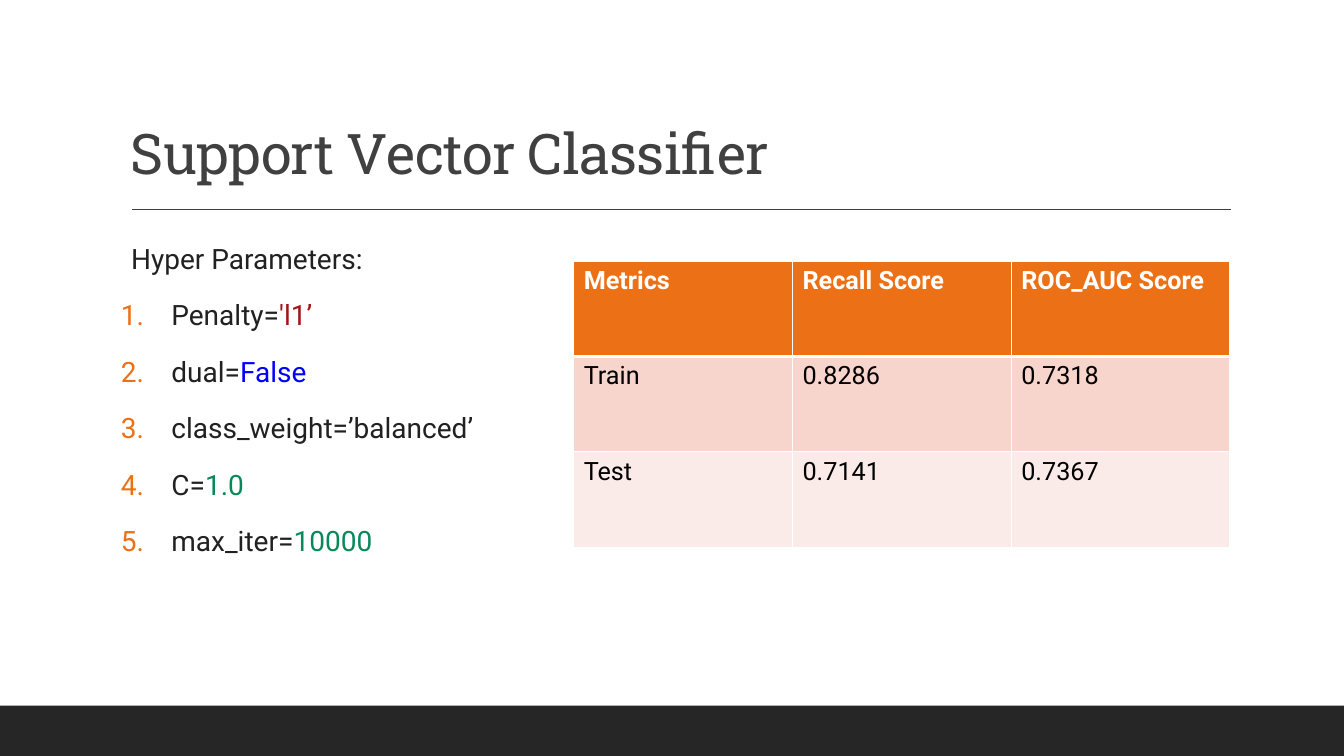
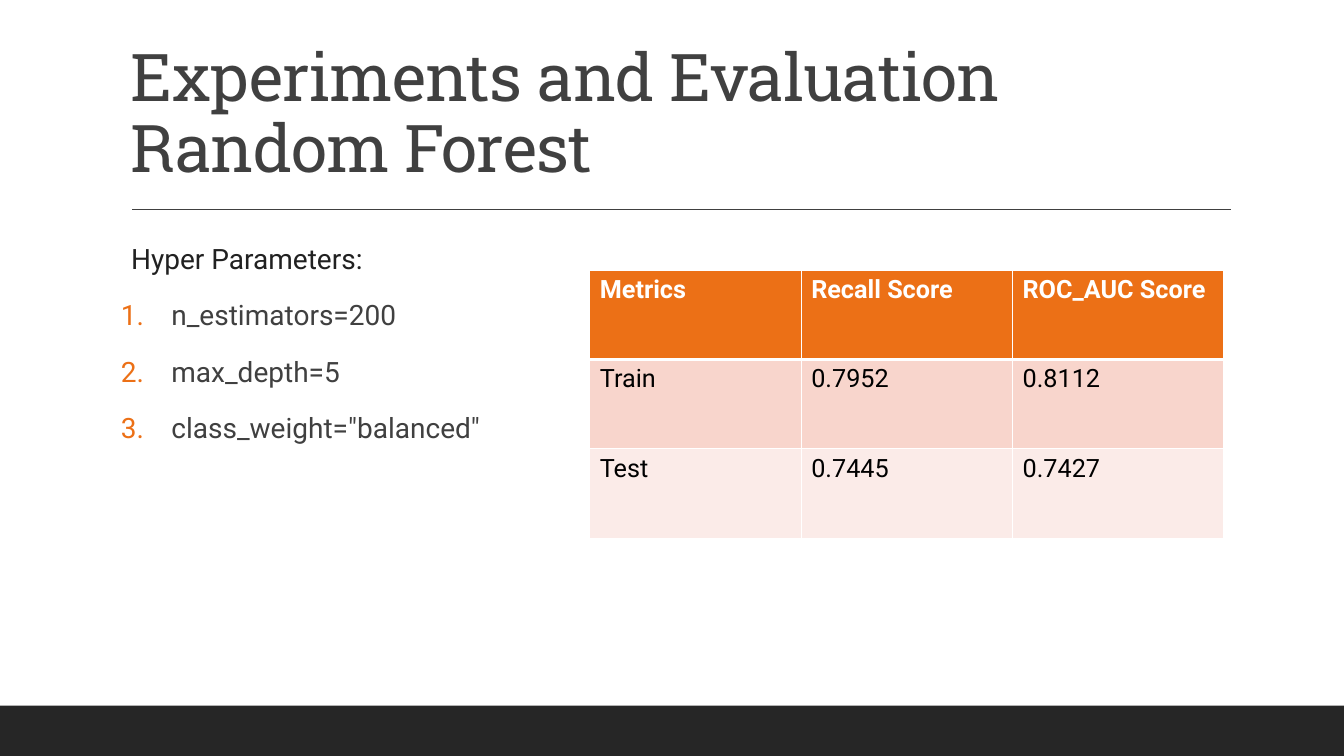
"""Build two slides that report classifier settings and scores."""
import dataclasses

import lxml.etree
import pptx
import pptx.dml.color
import pptx.enum.shapes
import pptx.enum.text
import pptx.oxml.ns
import pptx.util

Inches = pptx.util.Inches
Pt = pptx.util.Pt
qn = pptx.oxml.ns.qn


@dataclasses.dataclass(frozen=True)
class Theme:
    """Hold the colours, fonts and type sizes of the deck."""
    band: str = "262626"
    gray: str = "404040"
    ink: str = "212121"
    accent: str = "EC7016"
    rows: tuple = ("EC7016", "F8D5CC", "FBEBE8")
    white: str = "FFFFFF"
    black: str = "000000"
    red: str = "A31515"
    blue: str = "0000FF"
    green: str = "09885A"
    head: str = "Roboto Slab"
    body: str = "Roboto"
    list_size: int = 20
    cell_size: int = 18


THEME = Theme()


def color(code):
    """Turn a hex code into a colour."""
    return pptx.dml.color.RGBColor.from_string(code)


def add_run(para, text, size, tint, face=THEME.body, bold=False):
    """Add one styled run to a paragraph."""
    run = para.add_run()
    run.text = text
    font = run.font
    font.name, font.size, font.bold = face, Pt(size), bold
    font.color.rgb = color(tint)
    return run


def add_frame(slide, left, top, width, height):
    """Add a wrapping text box and return its frame."""
    box = slide.shapes.add_textbox(
        Inches(left), Inches(top), Inches(width), Inches(height))
    box.text_frame.word_wrap = True
    return box.text_frame


def add_base(slide):
    """Draw the footer band and the rule below the title."""
    band = slide.shapes.add_shape(
        pptx.enum.shapes.MSO_SHAPE.RECTANGLE,
        Inches(0), Inches(7), Inches(13.33), Inches(0.5))
    band.shadow.inherit = False
    band.fill.solid()
    band.fill.fore_color.rgb = color(THEME.band)
    band.line.fill.background()
    rule = slide.shapes.add_connector(
        pptx.enum.shapes.MSO_CONNECTOR.STRAIGHT,
        Inches(1.31), Inches(2.08), Inches(12.21), Inches(2.08))
    rule.line.color.rgb = color(THEME.gray)
    rule.line.width = Pt(1)
    lxml.etree.SubElement(rule._element.spPr, qn("a:effectLst"))


def add_title(slide, lines, size):
    """Add the title, one run per line."""
    frame = add_frame(slide, 1.2, 0.31, 11, 1.59)
    frame.vertical_anchor = pptx.enum.text.MSO_ANCHOR.BOTTOM
    para = frame.paragraphs[0]
    para.line_spacing = 0.9
    for i, line in enumerate(lines):
        if i:
            para.add_line_break()
        run = add_run(para, line, size, THEME.gray, THEME.head)
        run._r.get_or_add_rPr().set("spc", "-50")


def set_list(para, indent, number):
    """Set the spacing, hanging indent and number of a paragraph."""
    para.line_spacing = 1.1
    para.space_before, para.space_after = Pt(12), Pt(2)
    props = para._p.get_or_add_pPr()
    props.set("marL", str(Inches(indent)))
    if not number:
        lxml.etree.SubElement(props, qn("a:buNone"))
        return
    props.set("indent", str(-Inches(indent)))
    tint = lxml.etree.SubElement(props, qn("a:buClr"))
    lxml.etree.SubElement(tint, qn("a:srgbClr"), val=THEME.accent)
    lxml.etree.SubElement(props, qn("a:buFont"), typeface=THEME.body)
    lxml.etree.SubElement(props, qn("a:buAutoNum"), type="arabicPeriod")


def add_params(slide, width, items):
    """Add the heading and the numbered list of parameters."""
    frame = add_frame(slide, 1.2, 2.31, width, 4.11)
    frame.margin_left = frame.margin_right = 0
    para = frame.paragraphs[0]
    set_list(para, 0.1, False)
    add_run(para, "Hyper Parameters:", THEME.list_size, THEME.ink)
    for item in items:
        para = frame.add_paragraph()
        set_list(para, 0.5, True)
        for text, tint in item:
            add_run(para, text, THEME.list_size, tint)


def set_edges(cell, top, bottom):
    """Draw white borders around a table cell."""
    props = cell._tc.get_or_add_tcPr()
    widths = {"a:lnL": 1, "a:lnR": 1, "a:lnT": top, "a:lnB": bottom}
    for tag, width in widths.items():
        edge = lxml.etree.SubElement(props, qn(tag), w=str(Pt(width)))
        fill = lxml.etree.SubElement(edge, qn("a:solidFill"))
        lxml.etree.SubElement(fill, qn("a:srgbClr"), val=THEME.white)


def add_scores(slide, left, top, width, height, train, test):
    """Add the table of scores for the two data sets."""
    data = (("Metrics", "Recall Score", "ROC_AUC Score"),
            ("Train", *train), ("Test", *test))
    table = slide.shapes.add_table(
        len(data), len(data[0]), Inches(left), Inches(top),
        Inches(width), Inches(height)).table
    for r, row in enumerate(data):
        for c, text in enumerate(row):
            cell = table.cell(r, c)
            set_edges(cell, 3 if r == 1 else 1, 3 if r == 0 else 1)
            cell.fill.solid()
            cell.fill.fore_color.rgb = color(THEME.rows[r])
            tint = THEME.black if r else THEME.white
            add_run(cell.text_frame.paragraphs[0], text,
                    THEME.cell_size, tint, bold=r == 0)


def add_slide(deck, lines, size):
    """Add a slide with the shared parts and its title."""
    slide = deck.slides.add_slide(deck.slide_layouts[6])
    add_base(slide)
    add_title(slide, lines, size)
    return slide


def main():
    """Build and save the deck."""
    deck = pptx.Presentation()
    deck.slide_width, deck.slide_height = Inches(13.33), Inches(7.5)

    slide = add_slide(deck, ["Support Vector Classifier"], 40)
    add_params(slide, 11, [
        [("Penalty=", THEME.ink), ("'l1’", THEME.red)],
        [("dual=", THEME.ink), ("False", THEME.blue)],
        [("class_weight=’balanced’", THEME.ink)],
        [("C=", THEME.ink), ("1.0", THEME.green)],
        [("max_iter=", THEME.ink), ("10000", THEME.green)],
    ])
    add_scores(slide, 5.69, 2.59, 6.51, 2.84,
               ("0.8286", "0.7318"), ("0.7141", "0.7367"))

    slide = add_slide(
        deck, ["Experiments and Evaluation", "Random Forest"], 47)
    items = ("n_estimators=200", "max_depth=5", 'class_weight="balanced"')
    add_params(slide, 3.94, [[(text, THEME.gray)] for text in items])
    add_scores(slide, 5.85, 2.68, 6.29, 2.66,
               ("0.7952", "0.8112"), ("0.7445", "0.7427"))

    deck.save("out.pptx")


if __name__ == "__main__":
    main()
